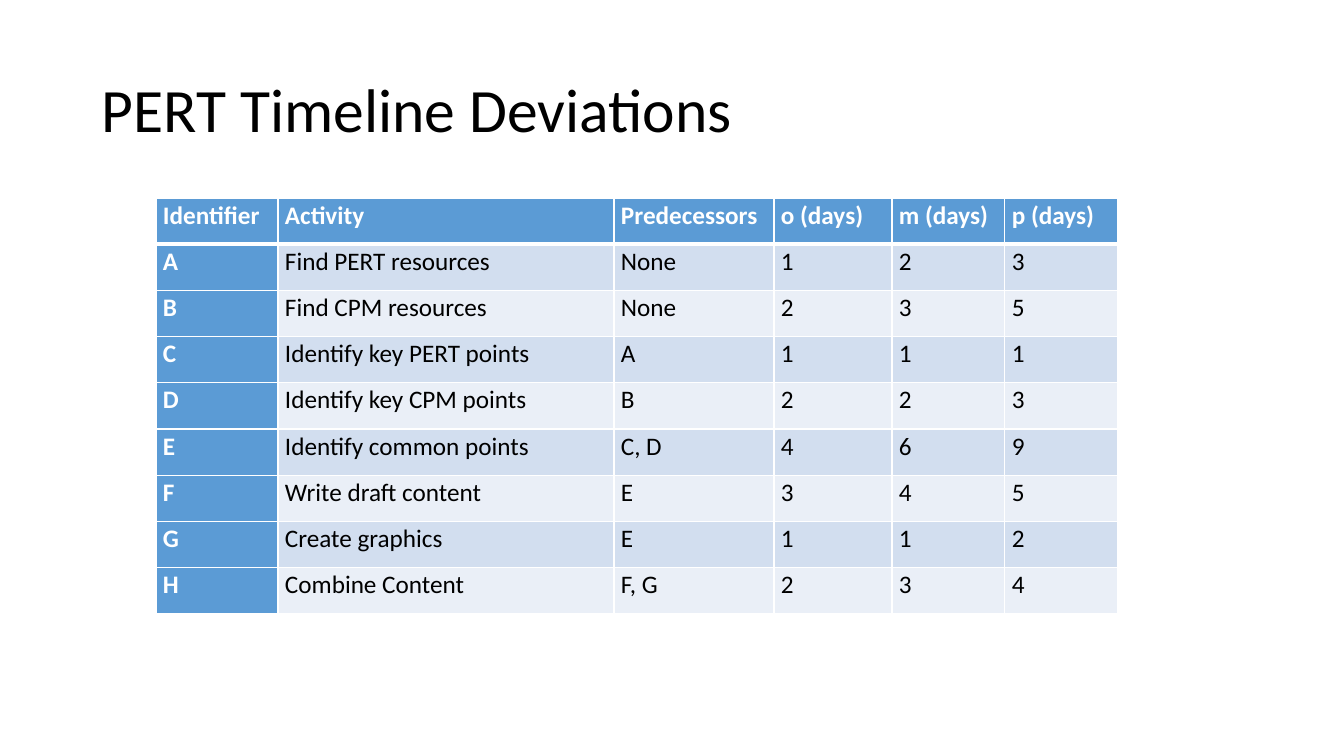
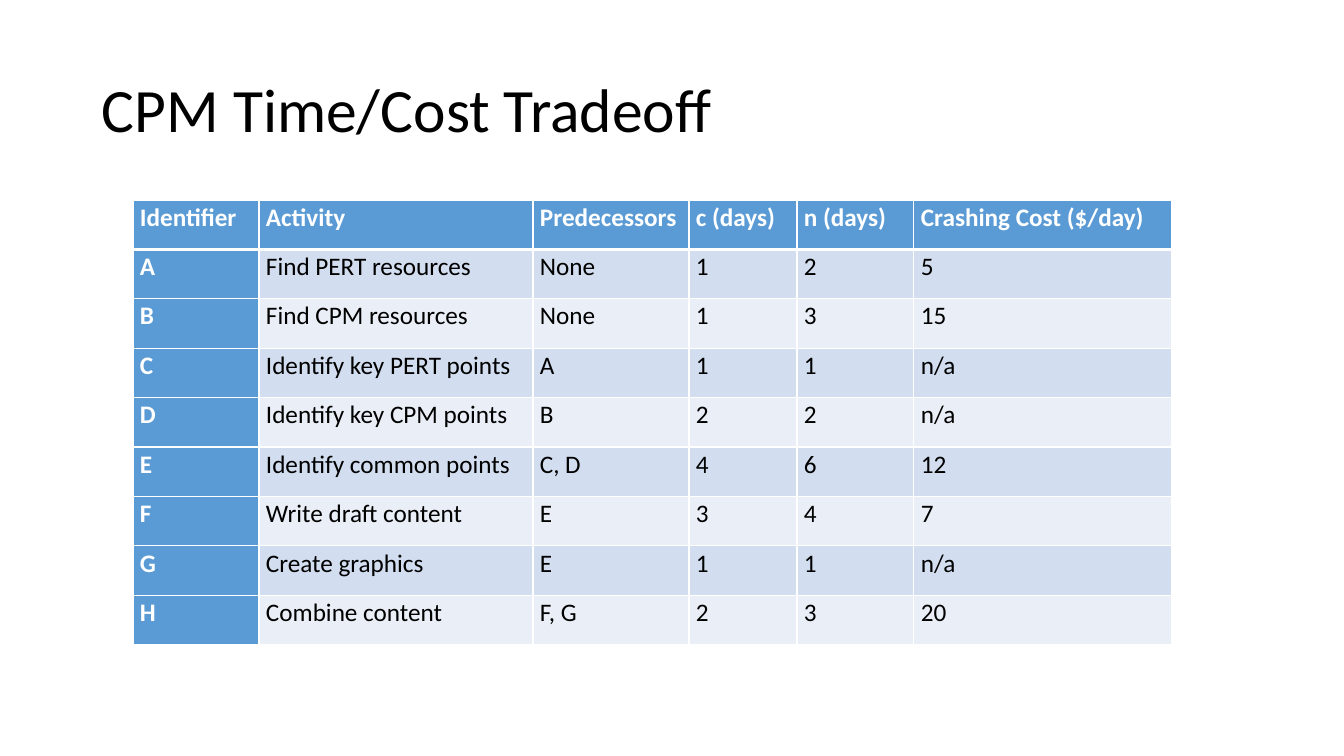
from lxml import etree
from pptx import Presentation
from pptx.dml.color import RGBColor
from pptx.enum.text import MSO_ANCHOR
from pptx.oxml.ns import qn
from pptx.util import Emu, Pt

MIDDLE, TOP = MSO_ANCHOR.MIDDLE, MSO_ANCHOR.TOP
PX = 914400 / 100.8
COLORS = {"paper": "FFFFFF", "ink": "000000", "accent": "5B9BD5",
          "odd": "D2DEEF", "even": "EAEFF7"}
FONTS = {
    "title": {"name": "Calibri", "size": Pt(44), "bold": False},
    "head": {"name": "Calibri", "size": Pt(18), "bold": True},
    "body": {"name": "Calibri", "size": Pt(18), "bold": False},
}
CELL = {"margin_left": Emu(round(7 * PX)), "margin_right": Emu(round(7 * PX)),
        "margin_top": 0, "margin_bottom": 0, "vertical_anchor": TOP}
TITLE_FRAME = {"word_wrap": True, "vertical_anchor": MIDDLE}
TITLE_BOX = (92, 40, 1159, 146)


def px(value):
    return Emu(round(value * PX))


def rgb(name):
    return RGBColor.from_string(COLORS[name])


def style(target, values):
    for key, value in values.items():
        setattr(target, key, value)


class Deck:
    def __init__(self, width, height):
        self.prs = Presentation()
        self.prs.slide_width, self.prs.slide_height = px(width), px(height)
        self.slide = None

    def new_slide(self, title):
        self.slide = self.prs.slides.add_slide(self.prs.slide_layouts[6])
        background = self.slide.background.fill
        background.solid()
        background.fore_color.rgb = rgb("paper")
        frame = self.slide.shapes.add_textbox(*map(px, TITLE_BOX)).text_frame
        style(frame, TITLE_FRAME)
        self.text(frame, title, "title", "ink", 0.9)

    def text(self, frame, words, font, color, spacing):
        paragraph = frame.paragraphs[0]
        paragraph.line_spacing = spacing
        run = paragraph.add_run()
        run.text = words
        style(run.font, FONTS[font])
        run.font.color.rgb = rgb(color)

    def border(self, cell, side, points):
        properties = cell._tc.get_or_add_tcPr()
        line = etree.SubElement(properties, qn(f"a:ln{side}"), w=str(Pt(points)))
        fill = etree.SubElement(line, qn("a:solidFill"))
        etree.SubElement(fill, qn("a:srgbClr"), val=COLORS["paper"])

    def table(self, left, top, height, widths, rows):
        table = self.slide.shapes.add_table(
            len(rows), len(widths), px(left), px(top),
            px(sum(widths)), px(height)).table
        style(table, {"first_row": True, "first_col": True,
                      "horz_banding": False})
        for column, width in zip(table.columns, widths):
            column.width = px(width)
        for r, values in enumerate(rows):
            table.rows[r].height = px(height / len(rows))
            for c, words in enumerate(values):
                self.cell(table.cell(r, c), words, r, c)

    def cell(self, cell, words, r, c):
        style(cell, CELL)
        # The rule under the header row is heavier than the others
        widths = {"L": 1, "R": 1, "T": 3 if r == 1 else 1,
                  "B": 3 if r == 0 else 1}
        for side, points in widths.items():
            self.border(cell, side, points)
        heading = r == 0 or c == 0
        band = "odd" if r % 2 else "even"
        cell.fill.solid()
        cell.fill.fore_color.rgb = rgb("accent" if heading else band)
        self.text(cell.text_frame, words, "head" if heading else "body",
                  "paper" if heading else "ink", 1.07)


# Columns and activities that both tables share
HEADINGS = ("Identifier", "Activity", "Predecessors")
ACTIVITIES = [
    ("A", "Find PERT resources", "None"),
    ("B", "Find CPM resources", "None"),
    ("C", "Identify key PERT points", "A"),
    ("D", "Identify key CPM points", "B"),
    ("E", "Identify common points", "C, D"),
    ("F", "Write draft content", "E"),
    ("G", "Create graphics", "E"),
]


def schedule(last_activity, estimates):
    tasks = [HEADINGS, *ACTIVITIES, ("H", last_activity, "F, G")]
    return [task + figures for task, figures in zip(tasks, estimates)]


deck = Deck(1344, 756)

# Slide 1: PERT estimates
deck.new_slide("PERT Timeline Deviations")
pert_days = [
    ("o (days)", "m (days)", "p (days)"),
    ("1", "2", "3"), ("2", "3", "5"), ("1", "1", "1"), ("2", "2", "3"),
    ("4", "6", "9"), ("3", "4", "5"), ("1", "1", "2"), ("2", "3", "4"),
]
deck.table(156, 198, 416, (122, 336, 160, 118, 113, 113),
           schedule("Combine Content", pert_days))

# Slide 2: CPM crashing costs
deck.new_slide("CPM Time/Cost Tradeoff")
cpm_costs = [
    ("c (days)", "n (days)", "Crashing Cost ($/day)"),
    ("1", "2", "5"), ("1", "3", "15"), ("1", "1", "n/a"), ("2", "2", "n/a"),
    ("4", "6", "12"), ("3", "4", "7"), ("1", "1", "n/a"), ("2", "3", "20"),
]
deck.table(133, 200, 445, (126, 274, 156, 108, 117, 258),
           schedule("Combine content", cpm_costs))

deck.prs.save("out.pptx")
